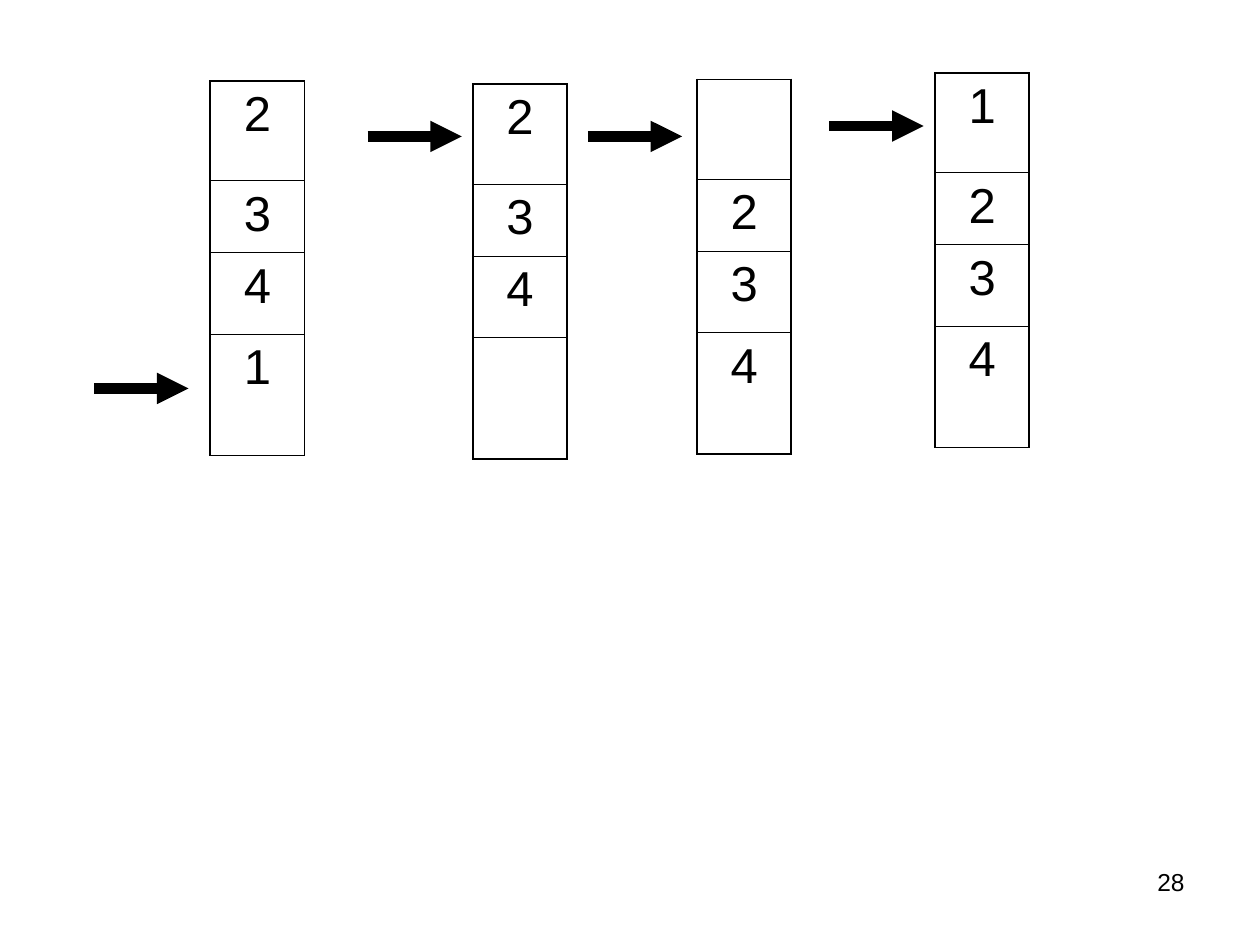
from dataclasses import dataclass

from lxml import etree
from pptx import Presentation
from pptx import util as u
from pptx.dml import color
from pptx.enum import shapes, text
from pptx.oxml import ns


@dataclass(frozen=True)
class Theme:
    font: str = "Arial"
    ink: color.RGBColor = color.RGBColor(0, 0, 0)
    cell: float = 28
    page: float = 14
    edge: float = 1.08
    rule: float = 0.45
    arrow: float = 6


THEME = Theme()
WIDE = 1.9
ROWS = (2.01, 1.45, 1.65, 2.44)
STACKS = (
    (4.24, 1.63, "2341"),
    (9.53, 1.7, "234 "),
    (14.05, 1.6, " 234"),
    (18.85, 1.47, "1234"),
)
ARROWS = ((1.9, 7.83), (7.41, 2.75), (11.85, 2.75), (16.72, 2.54))


def write(frame, words, size, align, before=0):
    para = frame.paragraphs[0]
    para.alignment = align
    para.space_before = u.Pt(before)
    run = para.add_run()
    run.text = words
    run.font.name = THEME.font
    run.font.size = u.Pt(size)
    run.font.color.rgb = THEME.ink


def border(cell, top, base):
    props = cell._tc.get_or_add_tcPr()
    sides = (("L", THEME.edge), ("R", THEME.edge), ("T", top), ("B", base))
    for spot, (side, width) in enumerate(sides):
        line = etree.Element(ns.qn(f"a:ln{side}"), w=str(int(u.Pt(width))))
        fill = etree.SubElement(line, ns.qn("a:solidFill"))
        etree.SubElement(fill, ns.qn("a:srgbClr"), val=str(THEME.ink))
        props.insert(spot, line)


def stack(slide, left, top, marks):
    last = len(ROWS) - 1
    table = slide.shapes.add_table(
        len(ROWS), 1, u.Cm(left), u.Cm(top), u.Cm(WIDE), u.Cm(sum(ROWS))
    ).table
    table.first_row = table.horz_banding = False
    for row, (high, mark) in enumerate(zip(ROWS, marks)):
        table.rows[row].height = u.Cm(high)
        cell = table.cell(row, 0)
        cell.fill.background()
        border(
            cell,
            THEME.rule if row else THEME.edge,
            THEME.rule if row < last else THEME.edge,
        )
        if mark.strip():
            write(cell.text_frame, mark, THEME.cell, text.PP_ALIGN.CENTER, before=7)


def arrow(slide, left, top):
    link = slide.shapes.add_connector(
        shapes.MSO_CONNECTOR.STRAIGHT,
        u.Cm(left), u.Cm(top), u.Cm(left + WIDE), u.Cm(top),
    )
    link.line.width = u.Pt(THEME.arrow)
    link.line.color.rgb = THEME.ink
    props = link._element.spPr
    etree.SubElement(props.find(ns.qn("a:ln")), ns.qn("a:tailEnd"), type="triangle")
    etree.SubElement(props, ns.qn("a:effectLst"))


def number(slide, words):
    box = slide.shapes.add_textbox(u.Cm(18.21), u.Cm(17.35), u.Cm(5.92), u.Cm(1.32))
    box.text_frame.word_wrap = True
    write(box.text_frame, words, THEME.page, text.PP_ALIGN.RIGHT)


def main():
    deck = Presentation()
    deck.slide_width, deck.slide_height = u.Cm(25.4), u.Cm(19.05)
    slide = deck.slides.add_slide(deck.slide_layouts[6])
    number(slide, "28")
    for item in STACKS:
        stack(slide, *item)
    for spot in ARROWS:
        arrow(slide, *spot)
    deck.save("out.pptx")


if __name__ == "__main__":
    main()
